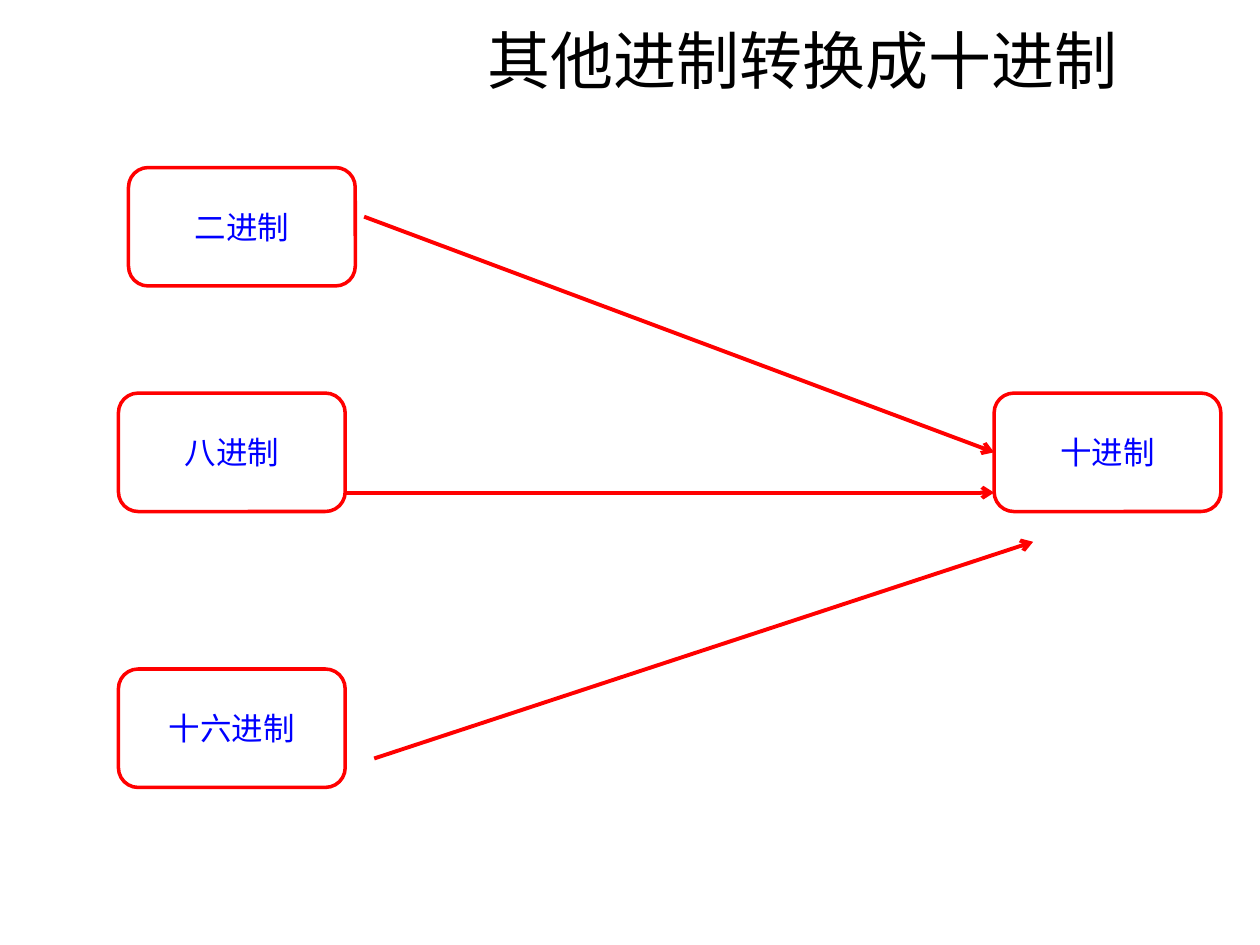
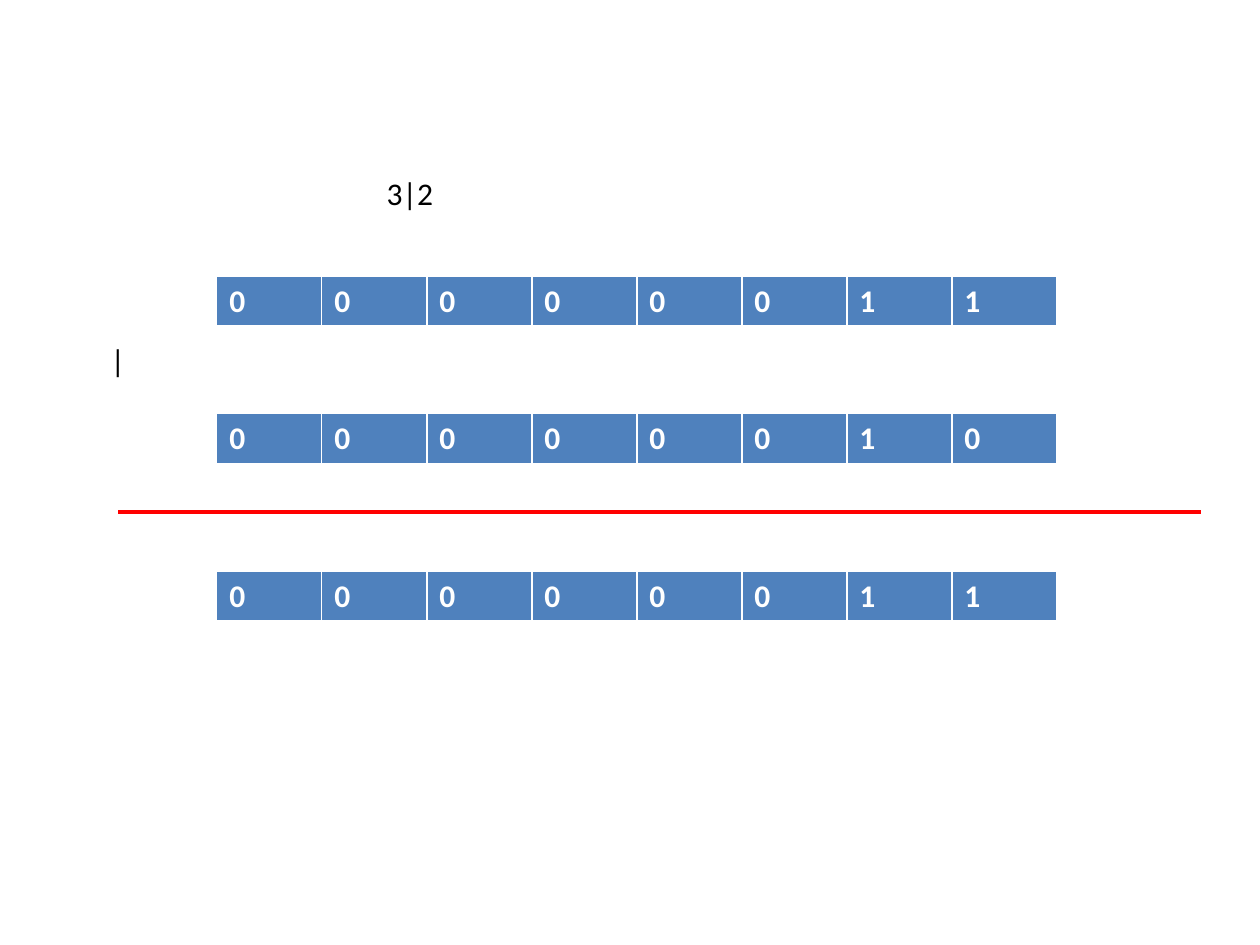
from dataclasses import dataclass

from lxml import etree
from pptx import Presentation
from pptx.dml.color import RGBColor
from pptx.enum.shapes import MSO_CONNECTOR, MSO_SHAPE
from pptx.enum.text import MSO_ANCHOR, MSO_AUTO_SIZE, PP_ALIGN
from pptx.oxml.ns import qn
from pptx.shapes.autoshape import Shape
from pptx.shapes.connector import Connector
from pptx.slide import Slide
from pptx.table import _Cell
from pptx.text.text import _Paragraph
from pptx.util import Inches, Pt

STRAIGHT = MSO_CONNECTOR.STRAIGHT
ROUNDED = MSO_SHAPE.ROUNDED_RECTANGLE
MIDDLE = MSO_ANCHOR.MIDDLE
CENTER = PP_ALIGN.CENTER
GROW = MSO_AUTO_SIZE.SHAPE_TO_FIT_TEXT

FONT = "Calibri"
COLORS = {
    "text": "000000",
    "label": "0000FF",
    "line": "FF0000",
    "cell": "4F81BD",
    "white": "FFFFFF",
}
BASE_WIDTH, BASE_HEIGHT = 1.8, 0.94
REGISTER_LEFT, REGISTER_WIDTH, REGISTER_HEIGHT = 1.72, 6.67, 0.41
BORDERS = {"a:lnL": 1, "a:lnR": 1, "a:lnT": 1, "a:lnB": 3}


@dataclass(frozen=True)
class NumberBase:
    name: str
    left: float
    top: float


@dataclass(frozen=True)
class Stroke:
    start: tuple[float, float]
    end: tuple[float, float]
    arrow: bool = True


@dataclass(frozen=True)
class Register:
    bits: str
    top: float


@dataclass(frozen=True)
class Note:
    text: str
    left: float
    top: float
    width: float


SOURCE_BASES = [
    NumberBase("二进制", 1.02, 1.33),
    NumberBase("八进制", 0.94, 3.12),
    NumberBase("十六进制", 0.94, 5.31),
]
DECIMAL = NumberBase("十进制", 7.89, 3.12)
BINARY_ARROW = Stroke((2.89, 1.72), (7.89, 3.59))
OTHER_ARROWS = [
    Stroke((2.73, 3.91), (7.89, 3.91)),
    Stroke((2.97, 6.02), (8.2, 4.3)),
]
REGISTERS = [
    Register("00000011", 2.19),
    Register("00000010", 3.28),
    Register("00000011", 4.53),
]
RESULT_RULE = Stroke((0.94, 4.06), (9.53, 4.06), arrow=False)
NOTES = [Note("|", 0.78, 2.66, 0.55), Note("3|2", 2.97, 1.33, 2.11)]


def rgb(name: str) -> RGBColor:
    return RGBColor.from_string(COLORS[name])


def write(para: _Paragraph, text: str, color: str, size: int = 18, bold: bool = False) -> None:
    span = para.add_run()
    span.text = text
    span.font.name = FONT
    span.font.size = Pt(size)
    span.font.bold = bold
    span.font.color.rgb = rgb(color)


def add_title(page: Slide, text: str) -> None:
    title = page.shapes.title
    title.left, title.top = Inches(1.87), Inches(0)
    title.width, title.height = Inches(9), Inches(0.94)
    title.text_frame.vertical_anchor = MIDDLE
    para = title.text_frame.paragraphs[0]
    para.alignment = CENTER
    write(para, text, "text", 36)


def add_base(page: Slide, base: NumberBase) -> Shape:
    box = page.shapes.add_shape(
        ROUNDED, Inches(base.left), Inches(base.top), Inches(BASE_WIDTH), Inches(BASE_HEIGHT)
    )
    box.shadow.inherit = False
    box.fill.background()
    box.line.color.rgb = rgb("line")
    box.line.width = Pt(2)
    box.text_frame.vertical_anchor = MIDDLE
    para = box.text_frame.paragraphs[0]
    para.alignment = CENTER
    write(para, base.name, "label")
    return box


def add_stroke(page: Slide, stroke: Stroke) -> Connector:
    ends = [Inches(value) for value in (*stroke.start, *stroke.end)]
    connector = page.shapes.add_connector(STRAIGHT, *ends)
    connector.line.color.rgb = rgb("line")
    connector.line.width = Pt(2.25)
    if stroke.arrow:
        etree.SubElement(connector.line._get_or_add_ln(), qn("a:tailEnd"), type="arrow")
    etree.SubElement(connector._element.spPr, qn("a:effectLst"))
    return connector


def style_cell(cell: _Cell) -> None:
    properties = cell._tc.get_or_add_tcPr()
    for side, width in BORDERS.items():
        border = etree.SubElement(properties, qn(side), w=str(Pt(width)))
        fill = etree.SubElement(border, qn("a:solidFill"))
        etree.SubElement(fill, qn("a:srgbClr"), val=COLORS["white"])
    cell.fill.solid()
    cell.fill.fore_color.rgb = rgb("cell")


def add_register(page: Slide, register: Register) -> None:
    table = page.shapes.add_table(
        1, len(register.bits), Inches(REGISTER_LEFT), Inches(register.top),
        Inches(REGISTER_WIDTH), Inches(REGISTER_HEIGHT),
    ).table
    for cell, bit in zip(table.iter_cells(), register.bits):
        style_cell(cell)
        write(cell.text_frame.paragraphs[0], bit, "white", bold=True)


def add_note(page: Slide, note: Note) -> None:
    box = page.shapes.add_textbox(
        Inches(note.left), Inches(note.top), Inches(note.width), Inches(0.4)
    )
    box.text_frame.word_wrap = True
    box.text_frame.auto_size = GROW
    write(box.text_frame.paragraphs[0], note.text, "text")


def build_conversion(page: Slide) -> None:
    add_title(page, "其他进制转换成十进制")
    for base in SOURCE_BASES:
        add_base(page, base)
    decimal_box = add_base(page, DECIMAL)
    add_stroke(page, BINARY_ARROW).end_connect(decimal_box, 1)
    for arrow in OTHER_ARROWS:
        add_stroke(page, arrow)


def build_bitwise_or(page: Slide) -> None:
    for register in REGISTERS:
        add_register(page, register)
    add_stroke(page, RESULT_RULE)
    for note in NOTES:
        add_note(page, note)


def main() -> None:
    deck = Presentation()
    deck.slide_width, deck.slide_height = Inches(10), Inches(7.5)
    title_only, blank = deck.slide_layouts[5], deck.slide_layouts[6]
    build_conversion(deck.slides.add_slide(title_only))
    build_bitwise_or(deck.slides.add_slide(blank))
    deck.save("out.pptx")


if __name__ == "__main__":
    main()
